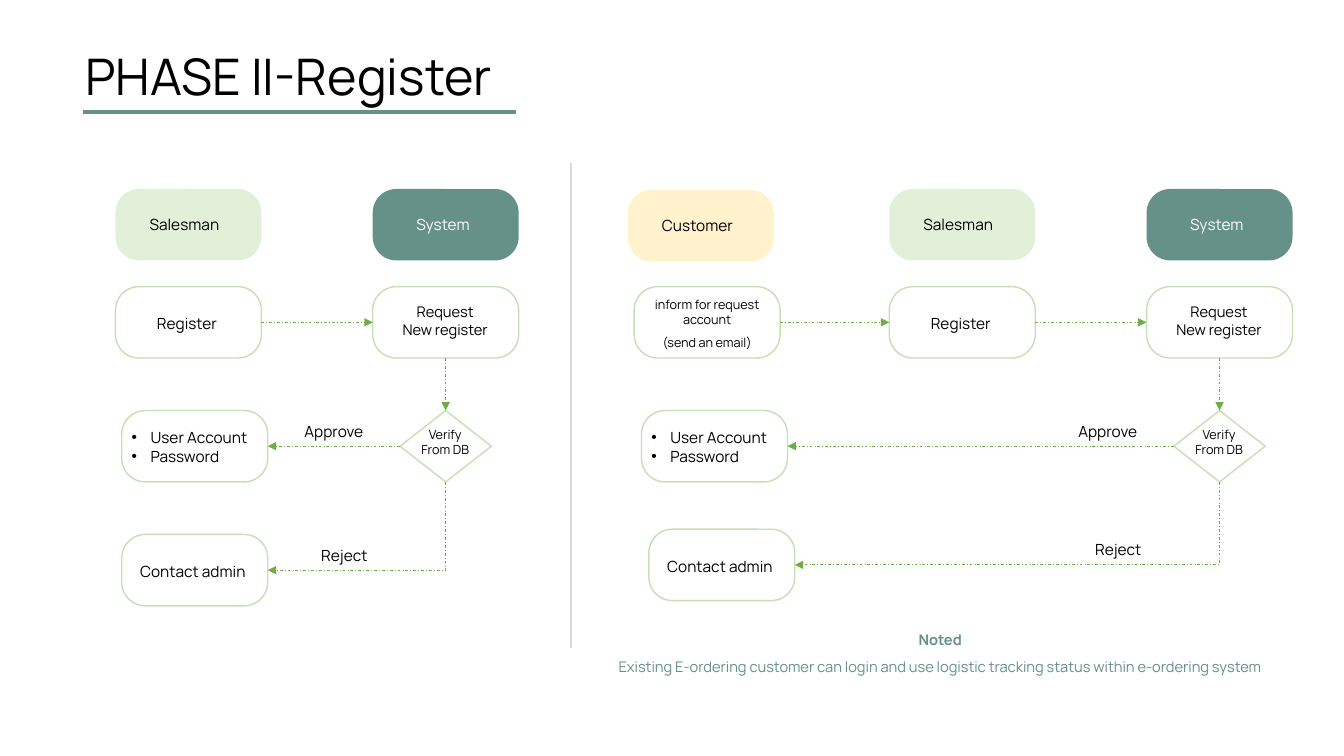
from lxml import etree
from pptx import Presentation
from pptx import util as u
from pptx.dml.color import RGBColor
from pptx.enum import dml, shapes, text
from pptx.oxml import ns

FONT = "Manrope"
BLACK, WHITE, TEAL = "000000", "FFFFFF", "669188"
MINT, CREAM, GREY = "E2F0D9", "FFF2CC", "D9D9D9"
OUTLINE, ARROW = "C5E0B4", "70AD47"
NODE_WIDTH, NODE_HEIGHT = 139, 68
HEADER_Y, REQUEST_Y, VERIFY_Y = 180, 273, 391
SYSTEM_OFFSET = 245  # from the salesman lane to the system lane
TOP, LEFT, BOTTOM, RIGHT = range(4)  # connection sites


def px(length):
    return u.Emu(length * 9525)


def color(value):
    return RGBColor.from_string(value)


def add_label(slide, box, lines, size=11, ink=BLACK, centered=False):
    label = slide.shapes.add_textbox(*map(px, box))
    frame = label.text_frame
    frame.word_wrap = True
    frame.text = "\n".join(lines)
    for paragraph in frame.paragraphs:
        paragraph.alignment = text.PP_ALIGN.CENTER if centered else text.PP_ALIGN.LEFT
        for run in paragraph.runs:
            run.font.name = FONT
            run.font.size = u.Pt(size)
            run.font.color.rgb = color(ink)
    return frame.paragraphs


def add_bullet(paragraph):
    properties = paragraph._p.get_or_add_pPr()
    properties.set("marL", str(px(18)))
    properties.set("indent", str(-px(18)))
    font = etree.SubElement(properties, ns.qn("a:buFont"))
    font.set("typeface", "Arial")
    etree.SubElement(properties, ns.qn("a:buChar")).set("char", "•")


def add_node(slide, x, y, fill=WHITE, outline=None):
    node = slide.shapes.add_shape(
        shapes.MSO_SHAPE.ROUNDED_RECTANGLE, px(x), px(y), px(NODE_WIDTH), px(NODE_HEIGHT))
    node.adjustments[0] = 0.33
    node.shadow.inherit = False
    node.fill.solid()
    node.fill.fore_color.rgb = color(fill)
    if outline:
        node.line.color.rgb = color(outline)
        node.line.width = u.Pt(1)
    else:
        node.line.fill.background()
    return node


def add_step(slide, x, y):
    return add_node(slide, x, y, outline=OUTLINE)


def add_header(slide, x, y, name, fill, ink=BLACK, inset=23):
    add_node(slide, x, y, fill)
    add_label(slide, (x + inset, y + 20, 93, 28), [name], ink=ink)


def add_decision(slide, x, y):
    decision = slide.shapes.add_shape(
        shapes.MSO_SHAPE.FLOWCHART_DECISION, px(x + 26), px(y), px(87), px(NODE_HEIGHT))
    decision.shadow.inherit = False
    decision.fill.background()
    decision.line.color.rgb = color(OUTLINE)
    decision.line.width = u.Pt(1)
    add_label(slide, (x + 24, y + 11, 90, 38), ["Verify", "From DB"], 9, centered=True)
    return decision


def style_line(connector, ink, points):
    connector.line.color.rgb = color(ink)
    connector.line.width = u.Pt(points)
    etree.SubElement(connector._element.spPr, ns.qn("a:effectLst"))


def style_arrow(connector):
    style_line(connector, ARROW, 0.5)
    connector.line.dash_style = dml.MSO_LINE.DASH_DOT
    head = etree.SubElement(connector.line._get_or_add_ln(), ns.qn("a:tailEnd"))
    head.set("type", "triangle")


def add_line(slide, start, end, ink, points):
    line = slide.shapes.add_connector(
        shapes.MSO_CONNECTOR.STRAIGHT, *map(px, start + end))
    style_line(line, ink, points)


def add_arrow(slide, source, source_site, target, target_site):
    arrow = slide.shapes.add_connector(shapes.MSO_CONNECTOR.STRAIGHT, 0, 0, 0, 0)
    arrow.begin_connect(source, source_site)
    arrow.end_connect(target, target_site)
    style_arrow(arrow)


def add_down_left_arrow(slide, source, target):
    """Run from the bottom of source down, then left to the right side of target."""
    start_x, start_y = source.left + source.width // 2, source.top + source.height
    end_x, end_y = target.left + target.width, target.top + target.height // 2
    across, down = start_x - end_x, end_y - start_y
    # The box is given before its quarter turn, so its sides are swapped.
    left = (start_x + end_x - down) // 2
    top = (start_y + end_y - across) // 2
    arrow = slide.shapes.add_connector(
        shapes.MSO_CONNECTOR.ELBOW, left, top, left + down, top + across)
    properties = arrow._element.spPr
    properties.find(ns.qn("a:xfrm")).set("rot", "5400000")
    properties.find(ns.qn("a:prstGeom")).set("prst", "bentConnector2")
    style_arrow(arrow)


def add_title(slide, x, y):
    add_label(slide, (x, y, 426, 68), ["PHASE II-Register"], 36)
    add_line(slide, (x + 7, y + 69), (x + 419, y + 69), TEAL, 3)


def add_register_flow(slide, x, account_x, contact_x, contact_y):
    """Draw the salesman and system lanes with their outcomes; return the register step."""
    system_x = x + SYSTEM_OFFSET
    add_header(slide, x, HEADER_Y, "Salesman", MINT)
    add_header(slide, system_x, HEADER_Y, "System", TEAL, WHITE, 32)

    register = add_step(slide, x, REQUEST_Y)
    add_label(slide, (x + 30, REQUEST_Y + 21, 80, 28), ["Register"])
    request = add_step(slide, system_x, REQUEST_Y)
    add_label(slide, (system_x + 11, REQUEST_Y + 11, 116, 43),
              ["Request", "New register"], 10.5, centered=True)
    decision = add_decision(slide, system_x, VERIFY_Y)

    account = add_step(slide, account_x, VERIFY_Y)
    for paragraph in add_label(slide, (account_x, VERIFY_Y + 12, NODE_WIDTH, 45),
                               ["User Account", "Password"]):
        add_bullet(paragraph)
    contact = add_step(slide, contact_x, contact_y)
    add_label(slide, (contact_x + 8, contact_y + 22, NODE_WIDTH, 28), ["Contact admin"])

    add_arrow(slide, register, RIGHT, request, LEFT)
    add_arrow(slide, request, BOTTOM, decision, TOP)
    add_arrow(slide, decision, LEFT, account, RIGHT)
    add_down_left_arrow(slide, decision, contact)
    add_label(slide, (system_x - 82, VERIFY_Y + 6, 90, 28), ["Approve"], centered=True)
    add_label(slide, (system_x - 72, contact_y + 6, 90, 28), ["Reject"], centered=True)
    return register


def add_customer_lane(slide, x, register):
    add_header(slide, x, HEADER_Y + 1, "Customer", CREAM)
    inform = add_step(slide, x + 6, REQUEST_Y)
    paragraphs = add_label(slide, (x + 6, REQUEST_Y + 5, NODE_WIDTH, 61),
                           ["inform for request account", "(send an email)"], 9, centered=True)
    paragraphs[1].space_before = u.Pt(5.5)
    add_arrow(slide, inform, RIGHT, register, LEFT)


def add_note(slide, x, y):
    paragraphs = add_label(
        slide, (x, y, 725, 59),
        ["Noted", "Existing E-ordering customer can login and use logistic tracking status "
         "within e-ordering system"], 10.5, TEAL, centered=True)
    for paragraph in paragraphs:
        paragraph.line_spacing = 1.5
    paragraphs[0].runs[0].font.bold = True


def main():
    presentation = Presentation()
    presentation.slide_width, presentation.slide_height = px(1280), px(720)
    slide = presentation.slides.add_slide(presentation.slide_layouts[6])
    add_title(slide, 72, 38)
    add_register_flow(slide, 110, 116, 116, 509)
    add_line(slide, (544, 155), (544, 617), GREY, 1)
    register = add_register_flow(slide, 847, 611, 618, 504)
    add_customer_lane(slide, 598, register)
    add_note(slide, 533, 588)
    presentation.save("out.pptx")


if __name__ == "__main__":
    main()
